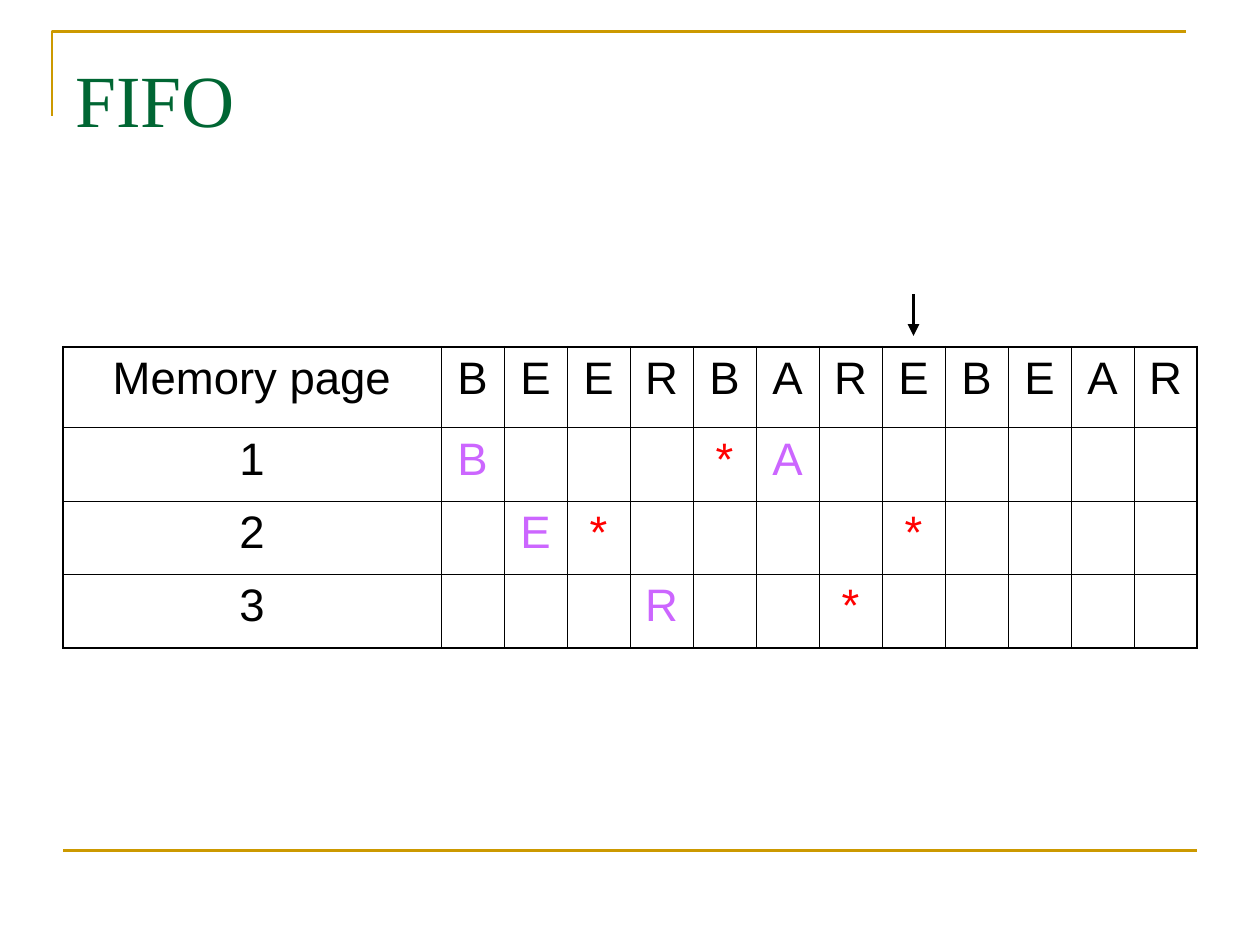
"""Build the FIFO page replacement slide."""
from dataclasses import dataclass

from lxml import etree
from pptx import Presentation
from pptx.dml.color import RGBColor
from pptx.enum.shapes import MSO_CONNECTOR
from pptx.enum.text import MSO_ANCHOR, MSO_AUTO_SIZE, PP_ALIGN
from pptx.oxml.ns import qn
from pptx.shapes.connector import Connector
from pptx.slide import Slide
from pptx.table import _Cell
from pptx.util import Cm, Length, Pt

STRAIGHT = MSO_CONNECTOR.STRAIGHT
TOP = MSO_ANCHOR.TOP
NO_AUTOFIT = MSO_AUTO_SIZE.NONE
LEFT, CENTER = PP_ALIGN.LEFT, PP_ALIGN.CENTER


@dataclass(frozen=True)
class Theme:
    gold: str = "CC9900"
    title: str = "006633"
    ink: str = "000000"
    loaded: str = "CC66FF"
    hit: str = "FF0000"
    title_font: str = "Times New Roman"
    body_font: str = "Arial"
    title_size: Length = Pt(42)
    body_size: Length = Pt(26)
    rule: Length = Pt(1.5)
    pointer: Length = Pt(2.25)
    inner_border: Length = Pt(0.45)
    outer_border: Length = Pt(1.08)


@dataclass(frozen=True)
class Frame:
    page: int
    marks: dict[int, str]


THEME = Theme()
REFERENCES = "BEERBAREBEAR"
FRAMES = [
    Frame(1, {1: "B", 5: "*", 6: "A"}),
    Frame(2, {2: "E", 3: "*", 8: "*"}),
    Frame(3, {4: "R", 7: "*"}),
]
CURRENT_REFERENCE = 8
MARGIN, CONTENT_WIDTH = Cm(1.27), Cm(22.86)
LABEL_WIDTH, STEP_WIDTH = Cm(7.62), Cm(1.27)
HEADER_HEIGHT, FRAME_HEIGHT = Cm(1.63), Cm(1.48)


def draw_line(slide: Slide, start: tuple[Length, Length], end: tuple[Length, Length],
              color: str, width: Length) -> Connector:
    line = slide.shapes.add_connector(STRAIGHT, *start, *end)
    line.line.color.rgb = RGBColor.from_string(color)
    line.line.width = width
    etree.SubElement(line._element.spPr, qn("a:effectLst"))
    return line


def draw_corner(slide: Slide) -> None:
    left, top = Cm(1.05), Cm(0.63)
    builder = slide.shapes.build_freeform(left, top + Cm(1.7))
    builder.add_line_segments([(left, top), (left + CONTENT_WIDTH, top)], close=False)
    corner = builder.convert_to_shape()
    corner.shadow.inherit = False
    corner.fill.background()
    corner.line.color.rgb = RGBColor.from_string(THEME.gold)
    corner.line.width = THEME.rule


def fill_title(slide: Slide, wording: str) -> None:
    title = slide.shapes.title
    title.left, title.top = MARGIN, Cm(0.76)
    title.width, title.height = CONTENT_WIDTH, Cm(3.18)
    frame = title.text_frame
    frame.text = wording
    frame.auto_size = NO_AUTOFIT
    frame.vertical_anchor = TOP
    frame.margin_top = Cm(0.32)
    heading = frame.paragraphs[0]
    heading.alignment = LEFT
    heading.font.name = THEME.title_font
    heading.font.size = THEME.title_size
    heading.font.color.rgb = RGBColor.from_string(THEME.title)


def set_borders(cell: _Cell, outer_sides: dict[str, bool]) -> None:
    properties = cell._tc.get_or_add_tcPr()
    for side, is_outer in outer_sides.items():
        width = THEME.outer_border if is_outer else THEME.inner_border
        border = etree.SubElement(properties, qn(f"a:ln{side}"), w=str(int(width)))
        fill = etree.SubElement(border, qn("a:solidFill"))
        etree.SubElement(fill, qn("a:srgbClr"), val=THEME.ink)


def fill_cell(cell: _Cell, wording: str, color: str) -> None:
    cell.fill.background()
    entry = cell.text_frame.paragraphs[0]
    entry.text = wording
    entry.alignment = CENTER
    entry.font.name = THEME.body_font
    entry.font.size = THEME.body_size
    entry.font.color.rgb = RGBColor.from_string(color)


def entry_color(row: int, column: int, wording: str) -> str:
    if row == 0 or column == 0:
        return THEME.ink
    return THEME.hit if wording == "*" else THEME.loaded


def draw_memory_table(slide: Slide) -> None:
    steps = range(1, len(REFERENCES) + 1)
    rows = [["Memory page", *REFERENCES]]
    rows += [[str(f.page), *(f.marks.get(step, "") for step in steps)] for f in FRAMES]
    last_row, last_column = len(rows) - 1, len(REFERENCES)
    height = HEADER_HEIGHT + FRAME_HEIGHT * len(FRAMES)
    memory = slide.shapes.add_table(len(rows), last_column + 1, MARGIN, Cm(6.99),
                                    CONTENT_WIDTH, height).table
    memory.first_row = memory.horz_banding = False
    for index, column in enumerate(memory.columns):
        column.width = STEP_WIDTH if index else LABEL_WIDTH
    for index, row in enumerate(memory.rows):
        row.height = FRAME_HEIGHT if index else HEADER_HEIGHT
    for r, entries in enumerate(rows):
        for c, wording in enumerate(entries):
            cell = memory.cell(r, c)
            set_borders(cell, {"L": c == 0, "R": c == last_column,
                               "T": r == 0, "B": r == last_row})
            fill_cell(cell, wording, entry_color(r, c, wording))


def draw_pointer(slide: Slide) -> None:
    center = MARGIN + LABEL_WIDTH + int(STEP_WIDTH * (CURRENT_REFERENCE - 0.5))
    pointer = draw_line(slide, (center, Cm(5.93)), (center, Cm(6.77)),
                        THEME.ink, THEME.pointer)
    etree.SubElement(pointer.line._get_or_add_ln(), qn("a:tailEnd"), type="triangle")


def main() -> None:
    deck = Presentation()
    deck.slide_width, deck.slide_height = Cm(25.4), Cm(19.05)
    slide = deck.slides.add_slide(deck.slide_layouts[5])
    draw_corner(slide)
    footer_y = Cm(17.15)
    draw_line(slide, (MARGIN, footer_y), (MARGIN + CONTENT_WIDTH, footer_y),
              THEME.gold, THEME.rule)
    fill_title(slide, "FIFO")
    draw_memory_table(slide)
    draw_pointer(slide)
    deck.save("out.pptx")


if __name__ == "__main__":
    main()
